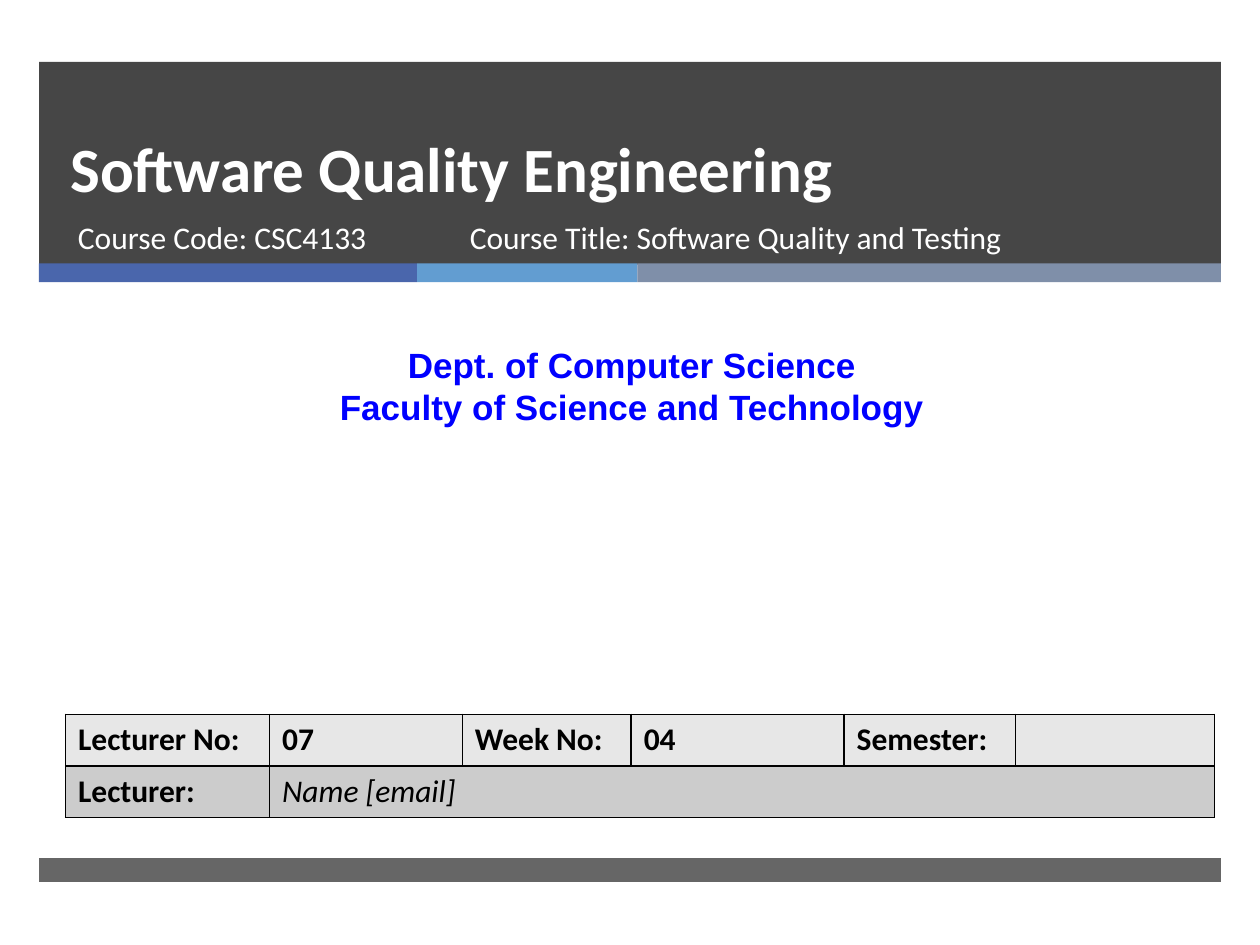
from lxml.etree import SubElement
from pptx import Presentation
from pptx.dml.color import RGBColor
from pptx.enum.shapes import MSO_SHAPE
from pptx.enum.text import MSO_ANCHOR, PP_ALIGN
from pptx.oxml.ns import qn
from pptx.util import Inches, Pt

WHITE = RGBColor(0xFF, 0xFF, 0xFF)
BLACK = RGBColor(0, 0, 0)
CHARCOAL = RGBColor(0x26, 0x26, 0x26)
LINK_BLUE = RGBColor(0, 0, 0xFF)
STRIP_BLUE = RGBColor(0x4A, 0x66, 0xAC)
STRIP_SKY = RGBColor(0x62, 0x9D, 0xD1)
STRIP_SLATE = RGBColor(0x7F, 0x8F, 0xA9)
ROW_FILLS = [RGBColor(0xE7, 0xE7, 0xE7), RGBColor(0xCC, 0xCC, 0xCC)]

LEFT, WIDTH = 0.31, 9.38
# top, height, opacity in percent
BANDS = [(0.49, 1.61, 85), (6.81, 0.19, 70)]
STRIP_TOP, STRIP_HEIGHT = 2.09, 0.15
STRIPS = [(3, STRIP_BLUE), (1.75, STRIP_SKY), (4.63, STRIP_SLATE)]

TITLE_FONT = {"name": "Calibri", "size": Pt(36), "bold": True}
COURSE_FONT = {"name": "Calibri", "size": Pt(18)}
DEPARTMENT_FONT = {"name": "Arial", "size": Pt(20), "bold": True}
LABEL_FONT = {"name": "Calibri", "size": Pt(18), "bold": True}
LECTURER_FONT = {"name": "Calibri", "size": Pt(18), "bold": False, "italic": True}

# lines, (left, top, width, height), font, colour, paragraph format, anchor
TEXTS = [
    (["Software Quality Engineering"], (0.46, 0.87, 8.54, 0.81),
     TITLE_FONT, WHITE, {"line_spacing": Pt(46)}, MSO_ANCHOR.BOTTOM),
    (["Course Code: CSC4133"], (0.52, 1.68, 3.05, 0.53),
     COURSE_FONT, WHITE, {}, MSO_ANCHOR.TOP),
    (["Dept. of Computer Science", "Faculty of Science and Technology"],
     (0.08, 2.68, 9.87, 0.77),
     DEPARTMENT_FONT, LINK_BLUE, {"alignment": PP_ALIGN.CENTER}, MSO_ANCHOR.TOP),
    (["Course Title: Software Quality and Testing"], (3.63, 1.68, 4.55, 0.53),
     COURSE_FONT, WHITE, {}, MSO_ANCHOR.TOP),
]

TABLE_PLACE = (0.52, 5.67, 9.12, 0.82)
COLUMN_WIDTHS = [1.62, 1.53, 1.34, 1.69, 1.36, 1.58]
ROW_HEIGHT = 0.41
ROWS = [
    ["Lecturer No:", "07", "Week No:", "04", "Semester:", ""],
    ["Lecturer:", "Name [email]", "", "", "", ""],
]


def set_format(target, values):
    for name, value in values.items():
        setattr(target, name, value)


def add_rectangle(slide, place, color, opacity=100):
    shape = slide.shapes.add_shape(MSO_SHAPE.RECTANGLE, *map(Inches, place))
    shape.shadow.inherit = False
    shape.line.fill.background()
    shape.fill.solid()
    shape.fill.fore_color.rgb = color
    if opacity < 100:
        color_element = shape.element.spPr.find(qn("a:solidFill"))[0]
        SubElement(color_element, qn("a:alpha"), val=str(opacity * 1000))


def add_text(slide, lines, place, font, color, paragraph_format, anchor):
    frame = slide.shapes.add_textbox(*map(Inches, place)).text_frame
    frame.word_wrap = True
    frame.vertical_anchor = anchor
    frame.text = "\n".join(lines)
    for paragraph in frame.paragraphs:
        set_format(paragraph, paragraph_format)
        set_format(paragraph.font, font)
        paragraph.font.color.rgb = color


def add_borders(cell):
    """Draw a 1 pt black line on all four sides; call before the cell fill is set."""
    properties = cell._tc.get_or_add_tcPr()
    for side in ("a:lnL", "a:lnR", "a:lnT", "a:lnB"):
        line = SubElement(properties, qn(side), w=str(Pt(1)))
        fill = SubElement(line, qn("a:solidFill"))
        SubElement(fill, qn("a:srgbClr"), val=str(BLACK))


def add_lecture_table(slide):
    table = slide.shapes.add_table(
        len(ROWS), len(COLUMN_WIDTHS), *map(Inches, TABLE_PLACE)).table
    for column, width in zip(table.columns, COLUMN_WIDTHS):
        column.width = Inches(width)
    for row_index, (texts, fill) in enumerate(zip(ROWS, ROW_FILLS)):
        table.rows[row_index].height = Inches(ROW_HEIGHT)
        for column_index, text in enumerate(texts):
            cell = table.cell(row_index, column_index)
            add_borders(cell)
            cell.fill.solid()
            cell.fill.fore_color.rgb = fill
            cell.text = text
            font = cell.text_frame.paragraphs[0].font
            is_lecturer = (row_index, column_index) == (1, 1)
            set_format(font, LECTURER_FONT if is_lecturer else LABEL_FONT)
            font.color.rgb = BLACK
    table.cell(1, 1).merge(table.cell(1, len(COLUMN_WIDTHS) - 1))


def main():
    presentation = Presentation()
    presentation.slide_width = Inches(10)
    presentation.slide_height = Inches(7.5)
    slide = presentation.slides.add_slide(presentation.slide_layouts[6])

    for top, height, opacity in BANDS:
        add_rectangle(slide, (LEFT, top, WIDTH, height), CHARCOAL, opacity)
    strip_left = LEFT
    for width, color in STRIPS:
        add_rectangle(slide, (strip_left, STRIP_TOP, width, STRIP_HEIGHT), color)
        strip_left += width

    for text in TEXTS:
        add_text(slide, *text)
    add_lecture_table(slide)
    presentation.save("out.pptx")


if __name__ == "__main__":
    main()
